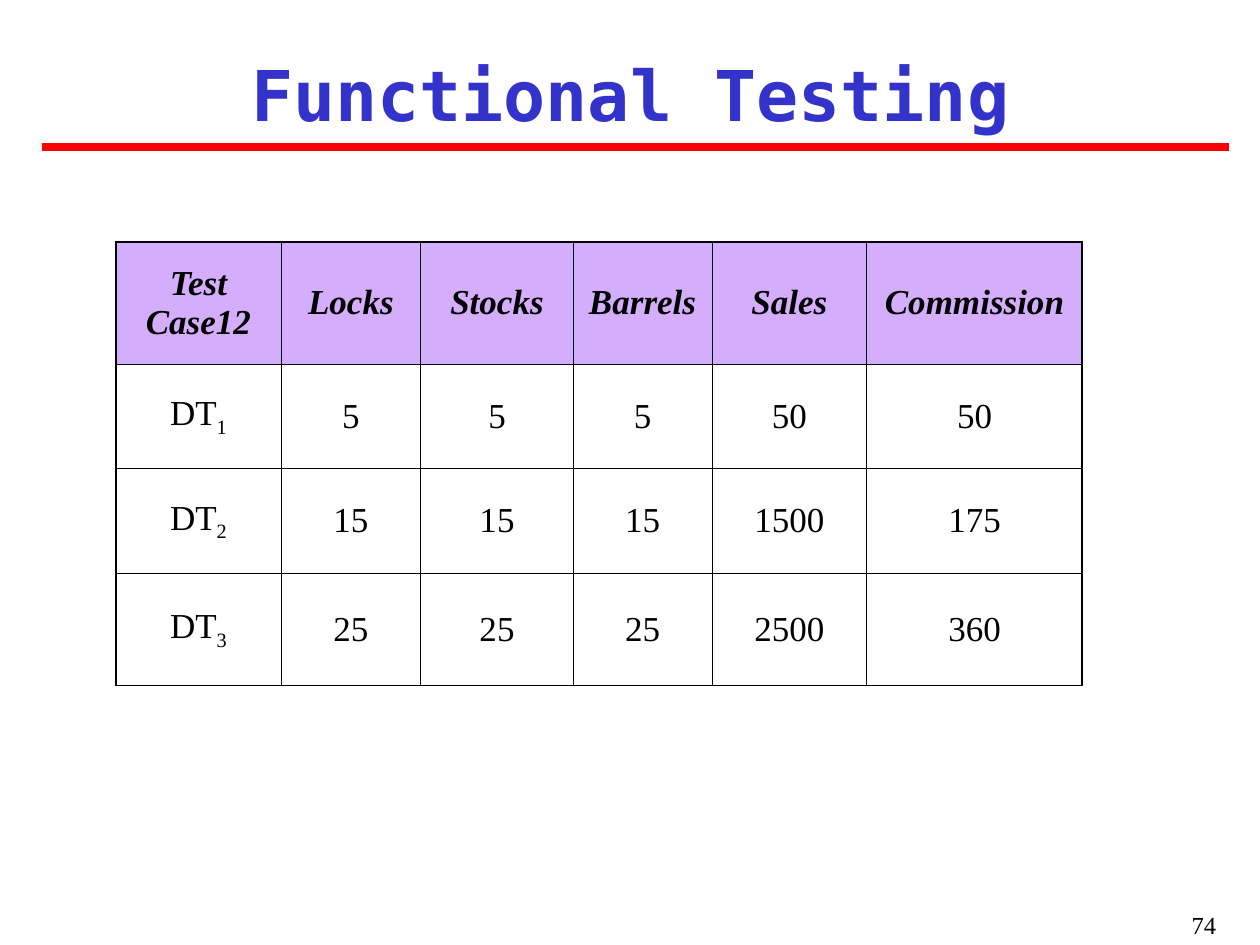
from lxml.etree import SubElement
from pptx import Presentation
from pptx.dml.color import RGBColor
from pptx.enum.shapes import MSO_CONNECTOR
from pptx.enum.text import MSO_ANCHOR as Anchor, PP_ALIGN as Align
from pptx.oxml.ns import qn
from pptx.util import Inches, Pt

COLORS = {
    "title": "3333CC",
    "rule": "FF0000",
    "header": "D5ADFD",
    "ink": "000000",
}
SERIF = "Times New Roman"
MONO = "DejaVu Sans Mono"
COLUMN_WIDTHS = [1.31, 1.11, 1.21, 1.1, 1.23, 1.71]
ROW_HEIGHTS = [0.97, 0.83, 0.83, 0.89]
HEADINGS = ["Test Case12", "Locks", "Stocks", "Barrels", "Sales", "Commission"]
CASES = [
    ["5", "5", "5", "50", "50"],
    ["15", "15", "15", "1500", "175"],
    ["25", "25", "25", "2500", "360"],
]
OUTER, INNER = 1.08, 0.45


def color(name):
    return RGBColor.from_string(COLORS[name])


def write(frame, text, subscript="", size=20, font=SERIF, ink="ink",
          bold=False, italic=False, align=Align.CENTER):
    """Put one formatted paragraph in a text frame, with an optional subscript."""
    para = frame.paragraphs[0]
    para.alignment = align
    for part, baseline in ((text, None), (subscript, "-25000")):
        if not part:
            continue
        span = para.add_run()
        span.text = part
        span.font.size = Pt(size)
        span.font.name = font
        span.font.bold = bold
        span.font.italic = italic
        span.font.color.rgb = color(ink)
        if baseline:
            span.font._element.set("baseline", baseline)


def add_text(page, left, top, width, height, text, anchor=Anchor.TOP,
             side_inset=0.1, **style):
    box = page.shapes.add_textbox(Inches(left), Inches(top),
                                  Inches(width), Inches(height))
    frame = box.text_frame
    frame.word_wrap = True
    frame.vertical_anchor = anchor
    frame.margin_left = frame.margin_right = Inches(side_inset)
    write(frame, text, **style)


def add_rule(page, left, right, top):
    rule = page.shapes.add_connector(MSO_CONNECTOR.STRAIGHT, Inches(left),
                                     Inches(top), Inches(right), Inches(top))
    rule.line.color.rgb = color("rule")
    rule.line.width = Pt(4.5)
    SubElement(rule._element.spPr, qn("a:effectLst"))


def set_borders(cell, widths):
    """Draw the cell's left, right, top and bottom borders, in points."""
    properties = cell._tc.get_or_add_tcPr()
    for side, width in zip("LRTB", widths):
        line = SubElement(properties, qn(f"a:ln{side}"), w=str(Pt(width)))
        fill = SubElement(line, qn("a:solidFill"))
        SubElement(fill, qn("a:srgbClr"), val=COLORS["ink"])


def add_case_table(page, left, top):
    rows, columns = len(ROW_HEIGHTS), len(COLUMN_WIDTHS)
    table = page.shapes.add_table(
        rows, columns, Inches(left), Inches(top),
        Inches(sum(COLUMN_WIDTHS)), Inches(sum(ROW_HEIGHTS))).table
    for column, width in zip(table.columns, COLUMN_WIDTHS):
        column.width = Inches(width)
    for row, height in zip(table.rows, ROW_HEIGHTS):
        row.height = Inches(height)

    for r in range(rows):
        for c in range(columns):
            cell = table.cell(r, c)
            cell.vertical_anchor = Anchor.MIDDLE
            edges = (c == 0, c == columns - 1, r == 0, r == rows - 1)
            set_borders(cell, [OUTER if edge else INNER for edge in edges])
            if r == 0:
                cell.fill.solid()
                cell.fill.fore_color.rgb = color("header")
                write(cell.text_frame, HEADINGS[c], bold=True, italic=True)
                continue
            cell.fill.background()
            if c == 0:
                write(cell.text_frame, "DT", subscript=str(r))
            else:
                write(cell.text_frame, CASES[r - 1][c - 1])


def main():
    deck = Presentation()
    deck.slide_width, deck.slide_height = Inches(10), Inches(7.5)
    page = deck.slides.add_slide(deck.slide_layouts[6])
    add_rule(page, 0.33, 9.75, 1.17)
    add_case_table(page, 0.92, 1.92)
    add_text(page, 0.25, 0.33, 9.5, 0.83, "Functional Testing",
             anchor=Anchor.MIDDLE, side_inset=0.02, size=40, font=MONO,
             ink="title", bold=True)
    add_text(page, 7.67, 7.17, 2.08, 0.33, "74", size=14, align=Align.RIGHT)
    deck.save("out.pptx")


if __name__ == "__main__":
    main()
